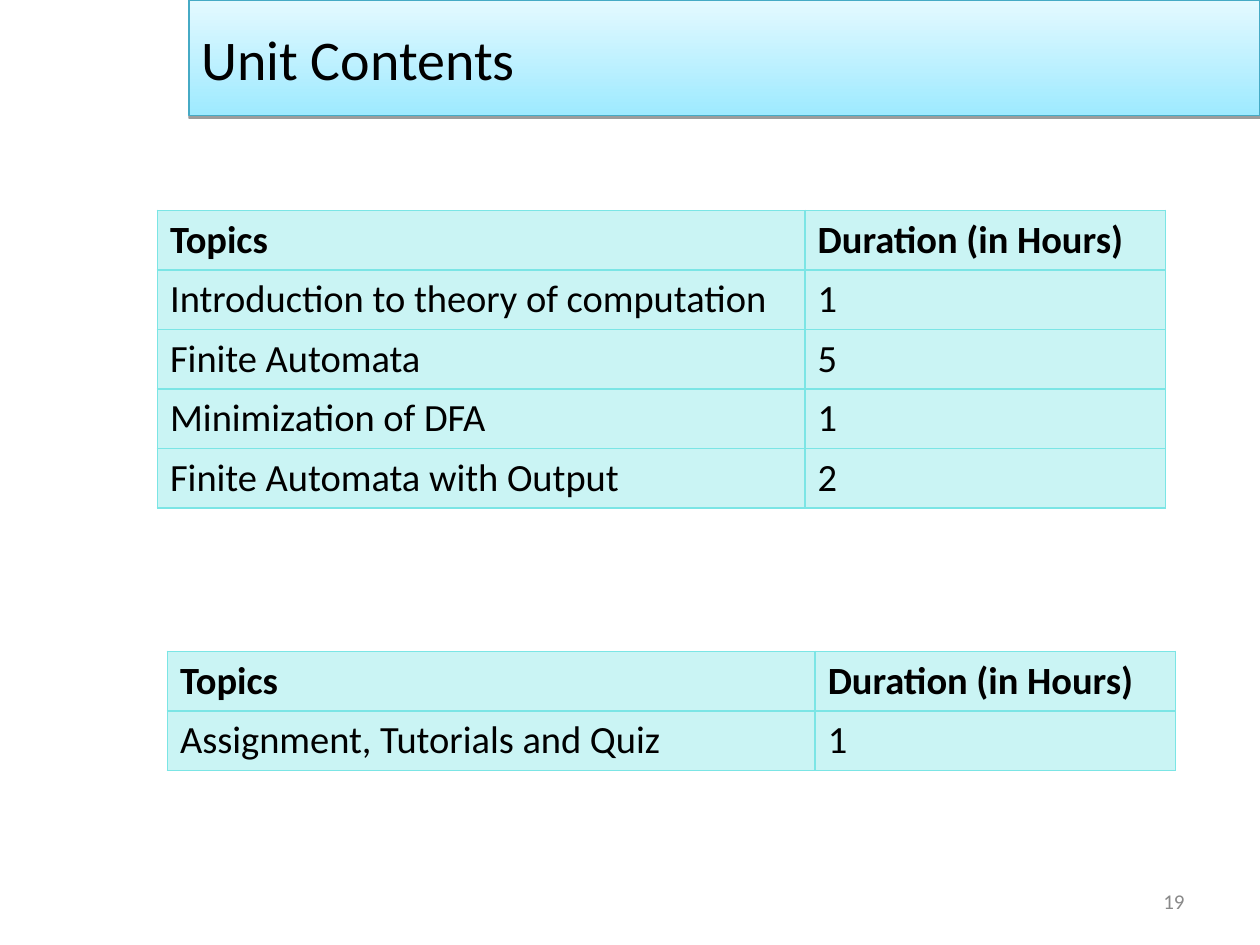
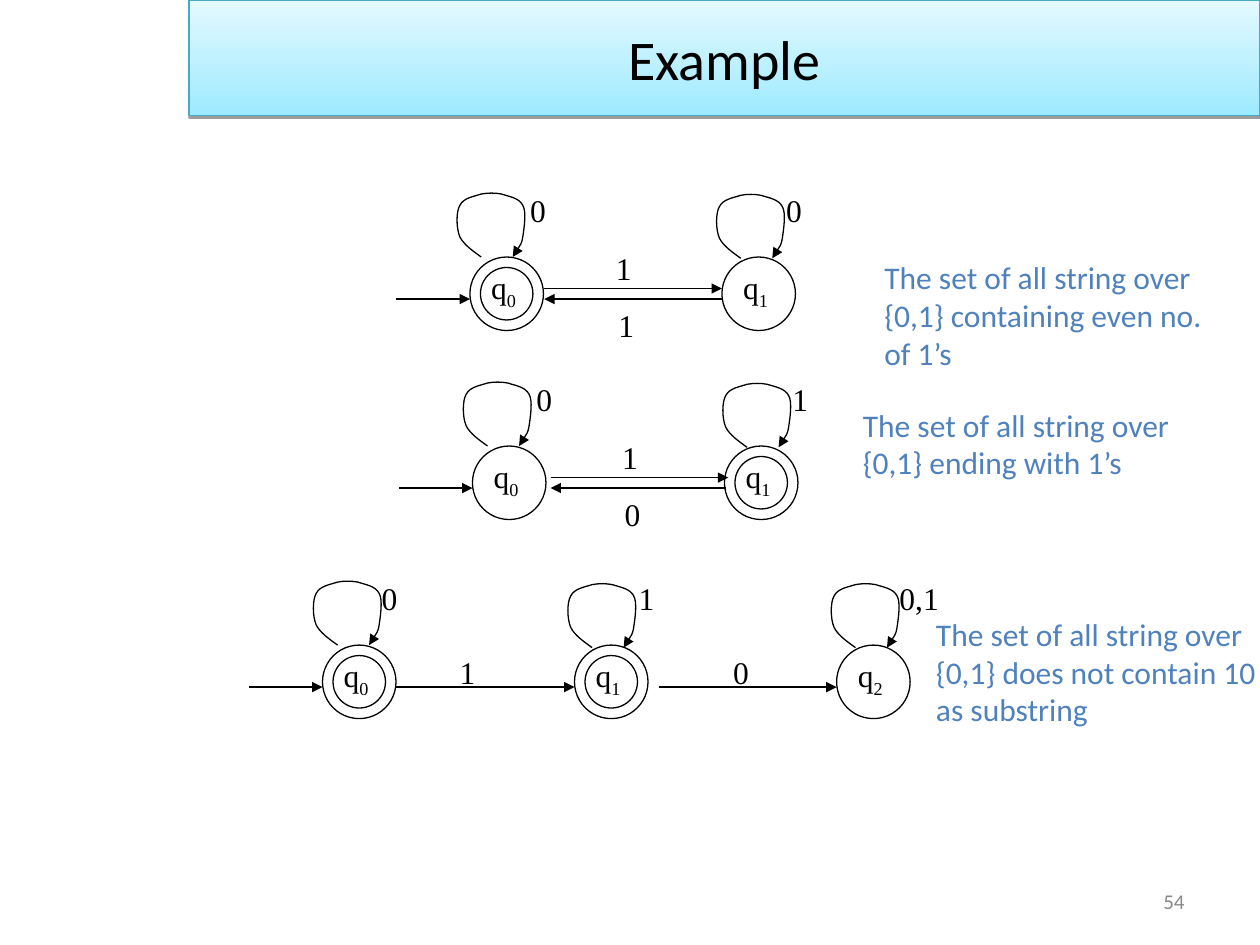
from lxml.etree import SubElement
from pptx import Presentation
from pptx.dml.color import RGBColor
from pptx.enum.shapes import MSO_CONNECTOR, MSO_SHAPE
from pptx.enum.text import MSO_ANCHOR, MSO_AUTO_SIZE, PP_ALIGN
from pptx.oxml import parse_xml
from pptx.oxml.ns import nsdecls, qn
from pptx.util import Inches, Pt

BLACK = RGBColor(0x00, 0x00, 0x00)
GREY = RGBColor(0x89, 0x89, 0x89)
BLUE = RGBColor(0x4F, 0x81, 0xBD)
AQUA = RGBColor(0x7B, 0xE5, 0xE5)
BAND_DARK = RGBColor(0x9E, 0xEA, 0xFF)
BAND_LIGHT = RGBColor(0xE4, 0xF9, 0xFF)
BAND_EDGE = RGBColor(0x46, 0xAA, 0xC5)
SANS, SERIF = "Calibri", "Times New Roman"

STATE_SIZE, RING_SIZE = 7 / 12, 5 / 12
FORWARD, LOWER = 1 / 4, 1 / 3
LOOP_START = (0.2, 0.51)
LOOP_CURVES = [
    ((0.13, 0.46), (0.06, 0.41), (0.03, 0.35)),
    ((0, 0.28), (0, 0.15), (0.03, 0.1)),
    ((0.06, 0.04), (0.14, 0.03), (0.2, 0.01)),
    ((0.25, 0), (0.31, 0), (0.36, 0.01)),
    ((0.42, 0.03), (0.5, 0.04), (0.53, 0.1)),
    ((0.56, 0.15), (0.54, 0.28), (0.53, 0.35)),
    ((0.52, 0.41), (0.48, 0.46), (0.45, 0.51)),
]

UNIT_TOPICS = [
    ("Topics", "Duration (in Hours)"),
    ("Introduction to theory of computation", "1"),
    ("Finite Automata", "5"),
    ("Minimization of DFA", "1"),
    ("Finite Automata with Output", "2"),
]
EXTRA_TOPICS = [UNIT_TOPICS[0], ("Assignment, Tutorials and Quiz", "1")]

AUTOMATA = [
    dict(
        at=(3.73, 2.04),
        states=[(0, True, (-0.11, -0.51), "0", 0.38),
                (2, False, (-0.05, -0.5), "0", 0.41)],
        moves=[(0.59, 2, FORWARD, "1", (1.06, -0.11)),
               (2, 0.59, LOWER, "1", (1.08, 0.34))],
        note=("The set of all string over {0,1} containing even no. of 1’s",
              (6.92, 2, 2.75, 1)),
    ),
    dict(
        at=(3.75, 3.54),
        states=[(0, False, (-0.08, -0.51), "0", 0.41),
                (2, True, (-0.02, -0.5), "1", 0.44)],
        moves=[(0.62, 2.03, FORWARD, "1", (1.09, -0.11)),
               (2.01, 0.62, LOWER, "0", (1.11, 0.34))],
        note=("The set of all string over {0,1} ending with 1’s",
              (6.75, 3.17, 2.83, 1)),
    ),
    dict(
        at=(2.56, 5.12),
        states=[(0, True, (-0.08, -0.51), "0", 0.37),
                (2, True, (-0.06, -0.49), "1", 0.41),
                (4.08, False, (-0.05, -0.49), "0,1", 0.4)],
        moves=[(0.58, 2, LOWER, "1", (0.99, 0.01)),
               (2.67, 4.08, LOWER, "0", (3.16, 0.01))],
        note=("The set of all string over {0,1} does not contain 10 as substring",
              (7.33, 4.83, 2.83, 1)),
    ),
]


def inches(*lengths):
    return [Inches(length) for length in lengths]


def style(font, name, size, color, bold=False):
    font.name, font.size, font.bold = name, Pt(size), bold
    font.color.rgb = color


def add_text(slide, box, text, name, size, color, wrap=True):
    label = slide.shapes.add_textbox(*inches(*box))
    frame = label.text_frame
    frame.text = text
    frame.word_wrap = wrap
    frame.auto_size = MSO_AUTO_SIZE.SHAPE_TO_FIT_TEXT
    style(frame.paragraphs[0].runs[0].font, name, size, color)
    return label


def add_symbol(slide, left, top, text):
    width = 0.24 + 0.1 * len(text)
    return add_text(slide, (left, top, width, 0.4), text, SERIF, 18, BLACK, wrap=False)


def outline(shape, color=BLACK):
    shape.line.color.rgb = color
    shape.line.width = Pt(0.75)


def add_arrowhead(shape):
    SubElement(shape.line._get_or_add_ln(), qn("a:tailEnd"), type="triangle")


def add_band(slide, box, title, align):
    band = slide.shapes.add_shape(MSO_SHAPE.RECTANGLE, *inches(*box))
    band.fill.gradient()
    band.fill.gradient_angle = 90
    for stop, color in zip(band.fill.gradient_stops, (BAND_DARK, BAND_LIGHT)):
        stop.color.rgb = color
    outline(band, BAND_EDGE)
    band._element.spPr.append(parse_xml(
        f'<a:effectLst {nsdecls("a")}><a:outerShdw dist="{Pt(1.6)}" dir="5400000" '
        'rotWithShape="0"><a:srgbClr val="000000"><a:alpha val="38000"/></a:srgbClr>'
        '</a:outerShdw></a:effectLst>'))
    frame = band.text_frame
    frame.text = title
    frame.vertical_anchor = MSO_ANCHOR.MIDDLE
    frame.paragraphs[0].alignment = align
    style(frame.paragraphs[0].runs[0].font, SANS, 32, BLACK)


def add_page_number(slide, box, number):
    label = add_text(slide, box, str(number), SANS, 12, GREY)
    label.text_frame.auto_size = MSO_AUTO_SIZE.NONE
    label.text_frame.vertical_anchor = MSO_ANCHOR.MIDDLE
    label.text_frame.paragraphs[0].alignment = PP_ALIGN.RIGHT


def start_slide(deck, title, align, number):
    slide = deck.slides.add_slide(deck.slide_layouts[6])
    add_band(slide, (1.5, 0, 8.5, 11 / 12), title, align)
    add_page_number(slide, (7.17, 6.95, 2.33, 0.4), number)
    return slide


def style_cell(cell, bold):
    style(cell.text_frame.paragraphs[0].runs[0].font, SANS, 22, BLACK, bold)
    cell.fill.solid()
    cell.fill.fore_color.rgb = AQUA
    props = cell._tc.get_or_add_tcPr()
    SubElement(props.find(".//" + qn("a:srgbClr")), qn("a:alpha"), val="40000")
    for index, side in enumerate("LRTB"):
        props.insert(index, parse_xml(
            f'<a:ln{side} {nsdecls("a")} w="{Pt(1.08)}"><a:solidFill>'
            f'<a:srgbClr val="{AQUA}"/></a:solidFill></a:ln{side}>'))


def add_topics(slide, left, top, height, rows):
    widths, row_height = (5.14, 2.86), height / len(rows)
    box = inches(left, top, sum(widths), height)
    table = slide.shapes.add_table(len(rows), len(widths), *box).table
    table.horz_banding = False
    for column, width in zip(table.columns, widths):
        column.width = Inches(width)
    for row_index, row in enumerate(rows):
        table.rows[row_index].height = Inches(row_height)
        for column_index, text in enumerate(row):
            cell = table.cell(row_index, column_index)
            cell.text = text
            style_cell(cell, row_index == 0)


def add_circle(slide, left, top, size):
    circle = slide.shapes.add_shape(MSO_SHAPE.OVAL, *inches(left, top, size, size))
    circle.fill.background()
    circle.shadow.inherit = False
    outline(circle)


def add_state(slide, left, top, index, accepting):
    add_circle(slide, left, top, STATE_SIZE)
    if accepting:
        inset = (STATE_SIZE - RING_SIZE) / 2
        add_circle(slide, left + inset, top + inset, RING_SIZE)
    name = add_text(slide, (left + 0.07, top + 0.04, 0.43, 0.44), "q", SERIF, 18, BLACK, wrap=False)
    span = name.text_frame.paragraphs[0].add_run()
    span.text = str(index)
    style(span.font, SERIF, 18, BLACK)
    span._r.get_or_add_rPr().set("baseline", "-25000")


def add_arrow(slide, start, end, top):
    arrow = slide.shapes.add_connector(MSO_CONNECTOR.STRAIGHT, *inches(start, top, end, top))
    outline(arrow)
    add_arrowhead(arrow)
    SubElement(arrow._element.spPr, qn("a:effectLst"))


def bend_segments(shape):
    segments = list(shape._element.iter(qn("a:lnTo")))
    for first in range(0, len(segments), 3):
        trio = segments[first:first + 3]
        curve = SubElement(trio[0].getparent(), qn("a:cubicBezTo"))
        for segment in trio:
            curve.append(segment[0])
            segment.getparent().remove(segment)


def add_loop(slide, left, top):
    builder = slide.shapes.build_freeform(*inches(left + LOOP_START[0], top + LOOP_START[1]))
    corners = [inches(left + x, top + y) for curve in LOOP_CURVES for x, y in curve]
    builder.add_line_segments(corners, close=False)
    loop = builder.convert_to_shape()
    bend_segments(loop)
    loop.fill.background()
    loop.shadow.inherit = False
    outline(loop)
    add_arrowhead(loop)


def add_automaton(slide, at, states, moves, note):
    left, top = at
    add_arrow(slide, left - STATE_SIZE, left, top + LOWER)
    for index, (offset, accepting, loop, symbol, symbol_offset) in enumerate(states):
        state_left = left + offset
        add_state(slide, state_left, top, index, accepting)
        add_loop(slide, state_left + loop[0], top + loop[1])
        add_symbol(slide, state_left + symbol_offset, top - 0.57, symbol)
    for start, end, height, symbol, (dx, dy) in moves:
        add_arrow(slide, left + start, left + end, top + height)
        add_symbol(slide, left + dx, top + dy, symbol)
    text, box = note
    add_text(slide, box, text, SANS, 18, BLUE)


def build_contents(deck):
    slide = start_slide(deck, "Unit Contents", PP_ALIGN.LEFT, 19)
    add_topics(slide, 1.25, 1.67, 2.33, UNIT_TOPICS)
    add_topics(slide, 1.33, 5.17, 0.93, EXTRA_TOPICS)


def build_example(deck):
    slide = start_slide(deck, "Example", PP_ALIGN.CENTER, 54)
    for automaton in AUTOMATA:
        add_automaton(slide, **automaton)


def main():
    deck = Presentation()
    deck.slide_width, deck.slide_height = inches(10, 7.5)
    build_contents(deck)
    build_example(deck)
    deck.save("out.pptx")


if __name__ == "__main__":
    main()
